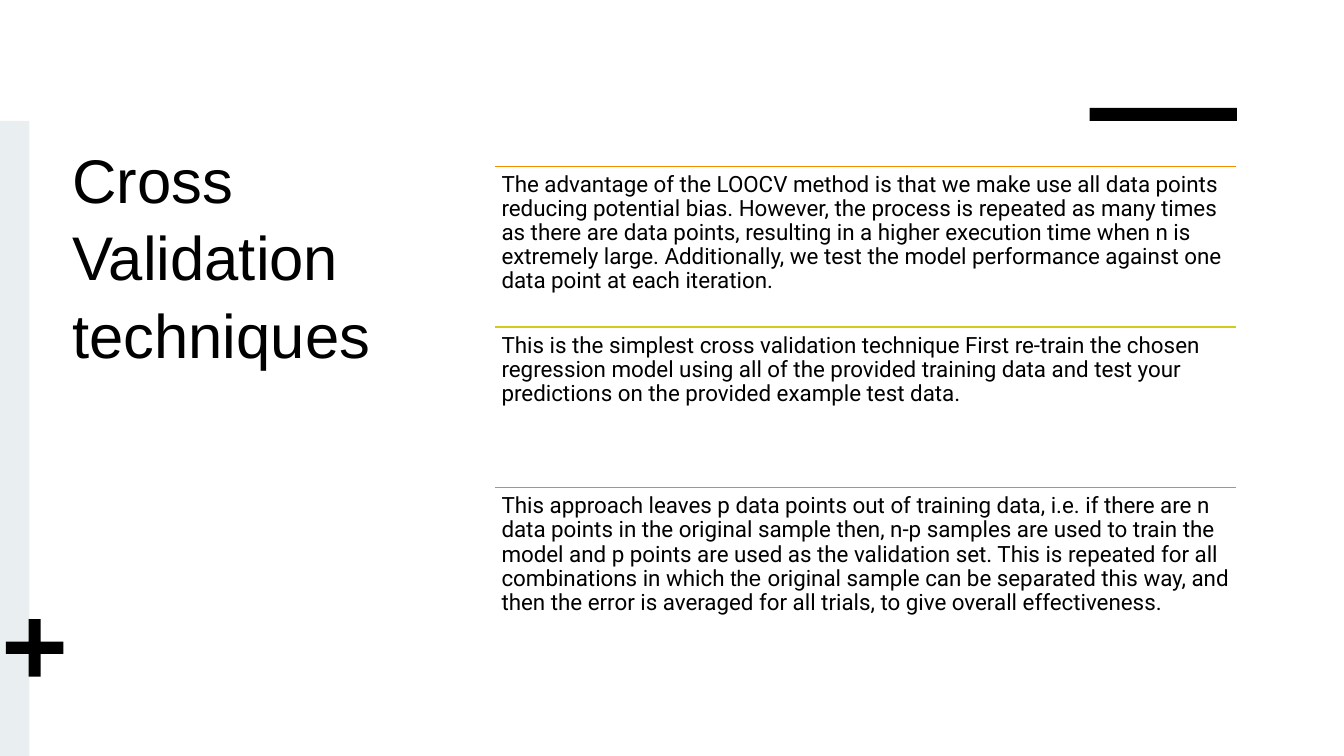
import pptx
import pptx.util
import pptx.dml.color
import pptx.enum.shapes
import pptx.enum.text
from lxml import etree

Cm, Pt = pptx.util.Cm, pptx.util.Pt
RGBColor = pptx.dml.color.RGBColor
MSO_SHAPE = pptx.enum.shapes.MSO_SHAPE

BLACK = RGBColor(0x00, 0x00, 0x00)
PALE = RGBColor(0xE9, 0xEF, 0xF1)
ORANGE = RGBColor(0xF3, 0x8E, 0x00)
LIME = RGBColor(0xD2, 0xCB, 0x1C)
GREEN = RGBColor(0x89, 0xB3, 0x36)

# Content
HEADING = "Cross Validation techniques"
TECHNIQUES = [  # rule colour, runs as (text, font)
    (ORANGE, [(
        "The advantage of the LOOCV method is that we make use all data points "
        "reducing potential bias. However, the process is repeated as many times "
        "as there are data points, resulting in a higher execution time when n is "
        "extremely large. Additionally, we test the model performance against one "
        "data point at each iteration.", "Roboto")]),
    (LIME, [(
        "This is the simplest cross validation technique First re-train the chosen "
        "regression model using all of the provided training data and test your "
        "predictions on the provided example test data.", "Roboto")]),
    (GREEN, [
        ("This approach leaves p data points out of training data, i.e. if there are n "
         "data points in the original sample then, n-p samples are used to train the "
         "model and p points are used as the validation set. This is repeated for all "
         "combinations in which ", "Roboto"),
        ("the ", "Arial"),
        ("original sample can be separated this way, and then the error is averaged "
         "for all trials, to give overall effectiveness.", "Roboto")]),
]
ORNAMENTS = [  # preset, left, top, width, height in cm, fill
    (MSO_SHAPE.RECTANGLE, 27.46, 2.72, 3.71, 0.33, BLACK),
    (MSO_SHAPE.RECTANGLE, 0, 3.05, 0.74, 16, PALE),
    (MSO_SHAPE.CROSS, 0.15, 15.6, 1.45, 1.45, BLACK),
]

# Layout
LIST_LEFT, LIST_TOP, LIST_WIDTH, ROW = Cm(12.47), Cm(4.19), Cm(18.69), Cm(4.05)
TITLE_BOX = {"left": Cm(1.57), "top": Cm(3.35), "width": Cm(8.89), "height": Cm(12.07)}
TITLE_FRAME = {"word_wrap": True,
               "auto_size": pptx.enum.text.MSO_AUTO_SIZE.NONE,
               "vertical_anchor": pptx.enum.text.MSO_ANCHOR.TOP}
INSET = Cm(0.17)
BODY_FRAME = {"word_wrap": True, "margin_left": INSET, "margin_right": INSET,
              "margin_top": INSET, "margin_bottom": INSET}


def set_all(target, values):
    for name, value in values.items():
        setattr(target, name, value)


def add_run(paragraph, text, font, size):
    run = paragraph.add_run()
    run.text = text
    set_all(run.font, {"name": font, "size": Pt(size)})
    run.font.color.rgb = BLACK


deck = pptx.Presentation()
set_all(deck, {"slide_width": Cm(33.87), "slide_height": Cm(19.05)})
slide = deck.slides.add_slide(deck.slide_layouts[5])

# Title
title = slide.shapes.title
set_all(title, TITLE_BOX)
set_all(title.text_frame, TITLE_FRAME)
heading = title.text_frame.paragraphs[0]
set_all(heading, {"alignment": pptx.enum.text.PP_ALIGN.LEFT, "line_spacing": 1.05})
add_run(heading, HEADING, "Arial", 44)

# Bar, side strip and plus sign
for preset, left, top, width, height, fill in ORNAMENTS:
    ornament = slide.shapes.add_shape(preset, Cm(left), Cm(top), Cm(width), Cm(height))
    ornament.shadow.inherit = False
    ornament.fill.solid()
    ornament.fill.fore_color.rgb = fill
    ornament.line.fill.background()
    if preset == MSO_SHAPE.CROSS:
        ornament.adjustments[0] = 0.395

# Techniques, each under its coloured rule
for index, (colour, runs) in enumerate(TECHNIQUES):
    top = LIST_TOP + index * ROW
    rule = slide.shapes.add_connector(
        pptx.enum.shapes.MSO_CONNECTOR.STRAIGHT,
        LIST_LEFT, top, LIST_LEFT + LIST_WIDTH, top)
    rule.line.color.rgb = colour
    rule.line.width = Pt(1)
    etree.SubElement(rule.element.spPr, pptx.oxml.ns.qn("a:effectLst"))

    technique = slide.shapes.add_textbox(LIST_LEFT, top, LIST_WIDTH, ROW)
    set_all(technique.text_frame, BODY_FRAME)
    paragraph = technique.text_frame.paragraphs[0]
    paragraph.line_spacing = 0.9
    for text, font in runs:
        add_run(paragraph, text, font, 16)

deck.save("out.pptx")
